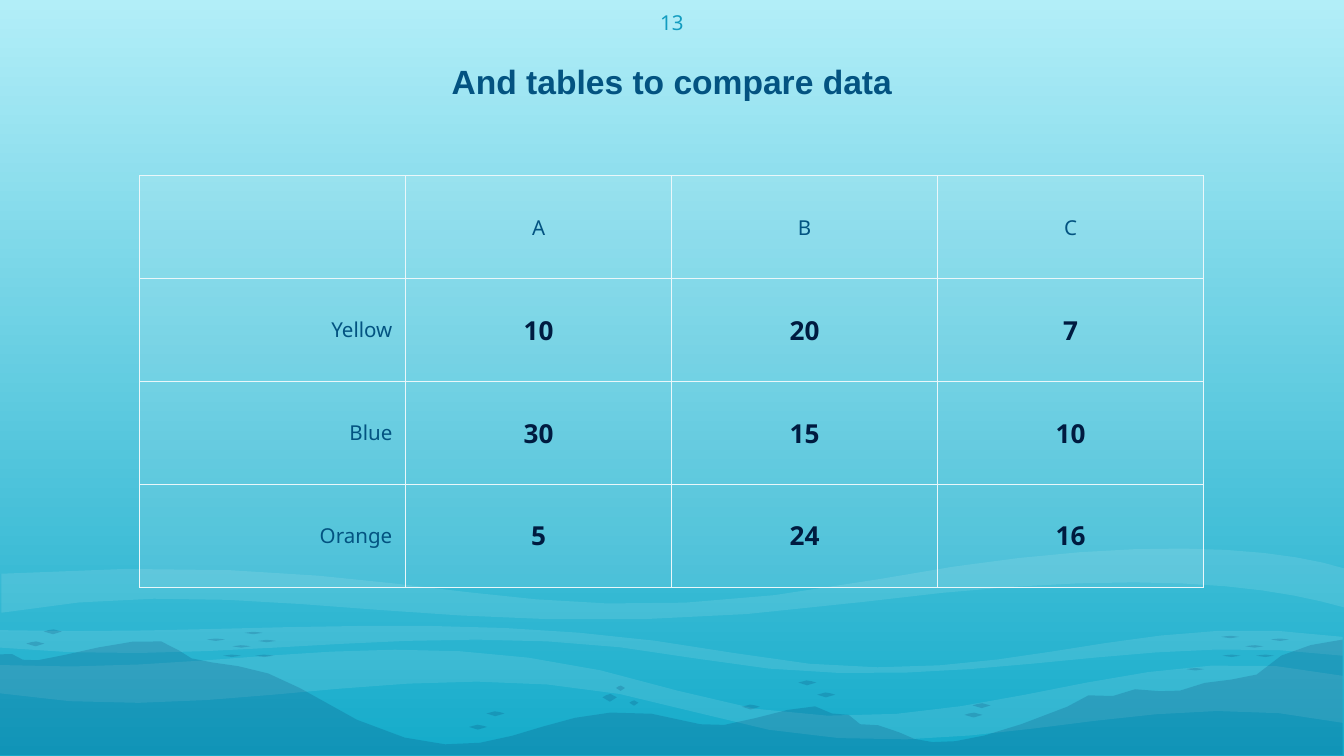
from collections import namedtuple
from dataclasses import dataclass
from math import dist

from lxml.etree import SubElement
from pptx import Presentation
from pptx.dml.color import RGBColor
from pptx.enum.text import MSO_ANCHOR, PP_ALIGN
from pptx.oxml.ns import qn
from pptx.util import Cm, Pt

Box = namedtuple("Box", "left top width height")


@dataclass(frozen=True)
class Theme:
    sky: str = "B2EEF8"
    sea: str = "14ABCA"
    foam: str = "FFFFFF"
    seabed: str = "00285F"
    heading: str = "035381"
    value: str = "001B40"
    page: str = "129CC0"
    grid: str = "EAF7FA"
    title_font: str = "Arial"
    body_font: str = "Noto Sans"
    title_size: int = 18
    value_size: int = 14
    label_size: int = 11
    foam_alpha: int = 10
    seabed_alpha: int = 17
    grid_width: float = 0.75


THEME = Theme()

# Scenery points are in tenths of the slide width. An edge is a start point
# followed by two control points and an end point for each curve.
WAVES = [
    [[(9.99, 5.03), (8.29, 4.65), (7.03, 5.75), (5.04, 5.14), (3.06, 4.53), (1.83, 5.04), (0, 4.95)],
     [(0, 5.16), (1.76, 5.45), (3.27, 4.73), (5.17, 5.3), (7.06, 5.87), (8.39, 5.03), (9.99, 5.38)]],
    [[(9.99, 4.74), (8.29, 4.5), (7.44, 5.23), (5.46, 4.86), (3.48, 4.5), (1.83, 4.74), (0, 4.69)],
     [(0, 4.82), (1.76, 4.99), (3.27, 4.55), (5.17, 4.9), (7.06, 5.24), (8.39, 4.67), (9.99, 4.88)]],
    [[(0.01, 4.27), (3.37, 4.06), (3.71, 4.83), (6.54, 4.31), (8.44, 3.96), (9.52, 4.08), (10, 4.23)],
     [(10, 4.52), (9.47, 4.37), (8.53, 4.21), (6.42, 4.48), (3.38, 4.88), (1.99, 4.21), (0.01, 4.56)]],
]
SEABED = [
    [(9.99, 4.76), (9.75, 4.79), (9.51, 4.84), (9.35, 5.02), (9.17, 5.08), (8.95, 5.05), (8.78, 5.14),
     (8.66, 5.18), (8.42, 5.07), (8.28, 5.18), (8.09, 5.16), (8.1, 5.16), (7.94, 5.26),
     (7.18, 5.57), (6.9, 5.57), (6.69, 5.45), (6.58, 5.38), (6.48, 5.4), (6.4, 5.39),
     (6.36, 5.34), (6.28, 5.28), (6.19, 5.31), (6.07, 5.13), (5.44, 5.47), (5.21, 5.39),
     (3.89, 4.99), (3.79, 6.11), (2.23, 5.12), (1.84, 4.88), (1.43, 4.98), (1.33, 4.84),
     (1.18, 4.62), (0.27, 4.98), (0.17, 4.91), (0.12, 4.87), (0.06, 4.85), (0, 4.87)],
    [(0, 5.62)], [(9.99, 5.62)],
]
# Outline of a fish facing left, measured from its nose
FISH = [(0.1, 0.01), (0.15, 0.04), (0.14, -0.04), (0.1, -0.01), (0.11, -0.01),
        (0.02, -0.03), (0, 0), (0.04, 0.04), (0.1, 0.01), (0.1, 0.01)]
# (horizontal scale, vertical scale): noses; a negative scale faces right
SHOALS = {
    (1, 0.5): [(1.66, 4.88), (1.73, 4.81), (1.9, 4.88), (1.54, 4.76), (1.92, 4.77), (1.82, 4.71)],
    (-1, 0.5): [(9.48, 4.88), (9.4, 4.81), (9.23, 4.88), (9.59, 4.76), (8.96, 4.98), (9.22, 4.74)],
    (1, 1): [(3.49, 5.41), (3.62, 5.31), (6.08, 5.17), (5.94, 5.08), (5.52, 5.26)],
    (-1, 1): [(0.33, 4.79), (0.46, 4.7), (7.31, 5.32), (7.37, 5.25)],
    (-0.8, 1.6): [(4.59, 5.19)],
    (-0.5, 1.1): [(4.65, 5.12), (4.75, 5.23)],
}
ROWS = [["", "A", "B", "C"],
        ["Yellow", "10", "20", "7"],
        ["Blue", "30", "15", "10"],
        ["Orange", "5", "24", "16"]]


def trace(edge):
    """Return points along the cubic curves of an edge, more on longer curves."""
    points = [edge[0]]
    for i in range(0, len(edge) - 1, 3):
        curve = edge[i:i + 4]
        steps = max(2, min(10, round(5 * dist(curve[0], curve[3]))))
        for step in range(1, steps + 1):
            t = step / steps
            weights = ((1 - t) ** 3, 3 * t * (1 - t) ** 2, 3 * t * t * (1 - t), t ** 3)
            points.append(tuple(sum(w * p[axis] for w, p in zip(weights, curve))
                                for axis in (0, 1)))
    return points


def paint(fill, color, alpha):
    fill.solid()
    fill.fore_color.rgb = RGBColor.from_string(color)
    rgb = fill._xPr.find(qn("a:solidFill"))[0]
    SubElement(rgb, qn("a:alpha"), val=str(alpha * 1000))


def add_scenery(slide, box, contours, color, alpha):
    """Draw contours, each a list of edges, as one translucent shape."""
    unit = box.width / 10
    builder = None
    for edges in contours:
        start, *rest = [(box.left + x * unit, box.top + y * unit)
                        for edge in edges for x, y in trace(edge)]
        if builder is None:
            builder = slide.shapes.build_freeform(*start)
        else:
            builder.move_to(*start)
        builder.add_line_segments(rest, close=True)
    shape = builder.convert_to_shape()
    shape.shadow.inherit = False
    shape.line.fill.background()
    paint(shape.fill, color, alpha)


def add_seascape(slide, box):
    backdrop = slide.background.fill
    backdrop.gradient()
    backdrop.gradient_angle = 270
    for stop, position, color in zip(backdrop.gradient_stops, (0, 1), (THEME.sky, THEME.sea)):
        stop.position = position
        stop.color.rgb = RGBColor.from_string(color)
    for wave in WAVES:
        add_scenery(slide, box, [wave], THEME.foam, THEME.foam_alpha)
    shoal = [[[(x + dx * sx, y + dy * sy) for dx, dy in FISH]]
             for (sx, sy), noses in SHOALS.items() for x, y in noses]
    add_scenery(slide, box, [SEABED] + shoal, THEME.seabed, THEME.seabed_alpha)


def write(frame, text, align, font_name, size, color, bold=False):
    frame.text = text
    paragraph = frame.paragraphs[0]
    paragraph.alignment = align
    for font in [paragraph.font] + [run.font for run in paragraph.runs]:
        font.name, font.size, font.bold = font_name, Pt(size), bold
        font.color.rgb = RGBColor.from_string(color)


def add_label(slide, box, text, anchor, *style, **options):
    frame = slide.shapes.add_textbox(*box).text_frame
    frame.word_wrap = True
    frame.margin_left = frame.margin_right = frame.margin_top = frame.margin_bottom = 0
    frame.vertical_anchor = anchor
    write(frame, text, PP_ALIGN.CENTER, *style, **options)
    return frame


def add_cell_borders(cell):
    properties = cell._tc.get_or_add_tcPr()
    for index, side in enumerate(("lnL", "lnR", "lnT", "lnB")):
        line = properties.makeelement(qn(f"a:{side}"), {"w": str(Pt(THEME.grid_width))})
        SubElement(SubElement(line, qn("a:solidFill")), qn("a:srgbClr"), val=THEME.grid)
        properties.insert(index, line)


def add_comparison(slide, box):
    table = slide.shapes.add_table(len(ROWS), len(ROWS[0]), *box).table
    table.first_row = table.horz_banding = False
    for r, row in enumerate(ROWS):
        for c, text in enumerate(row):
            cell = table.cell(r, c)
            is_value = r > 0 and c > 0
            write(cell.text_frame, text,
                  PP_ALIGN.RIGHT if c == 0 else PP_ALIGN.CENTER, THEME.body_font,
                  THEME.value_size if is_value else THEME.label_size,
                  THEME.value if is_value else THEME.heading, bold=is_value)
            cell.vertical_anchor = MSO_ANCHOR.MIDDLE
            cell.margin_left = cell.margin_right = Cm(0.25)
            cell.margin_top = cell.margin_bottom = Cm(0.18)
            paint(cell.fill, THEME.foam, THEME.foam_alpha)
            add_cell_borders(cell)


def add_table_slide(deck, box):
    slide = deck.slides.add_slide(deck.slide_layouts[6])
    add_seascape(slide, box)
    title = add_label(slide, Box(box.left + Cm(2.6), box.top + Cm(0.74), Cm(20.2), Cm(1.19)),
                      "And tables to compare data", MSO_ANCHOR.BOTTOM, THEME.title_font,
                      THEME.title_size, THEME.heading, bold=True)
    title.paragraphs[0].line_spacing = 0.9
    add_comparison(slide, Box(box.left + Cm(2.64), box.top + Cm(3.32), Cm(20.11), Cm(7.78)))
    add_label(slide, Box(box.left + Cm(11.94), box.top, Cm(1.52), Cm(0.84)), "13",
              MSO_ANCHOR.MIDDLE, THEME.body_font, THEME.label_size, THEME.page)


def main():
    deck = Presentation()
    deck.slide_width, deck.slide_height = Cm(25.4), Cm(14.29)
    add_table_slide(deck, Box(0, 0, deck.slide_width, deck.slide_height))
    deck.save("out.pptx")


if __name__ == "__main__":
    main()
